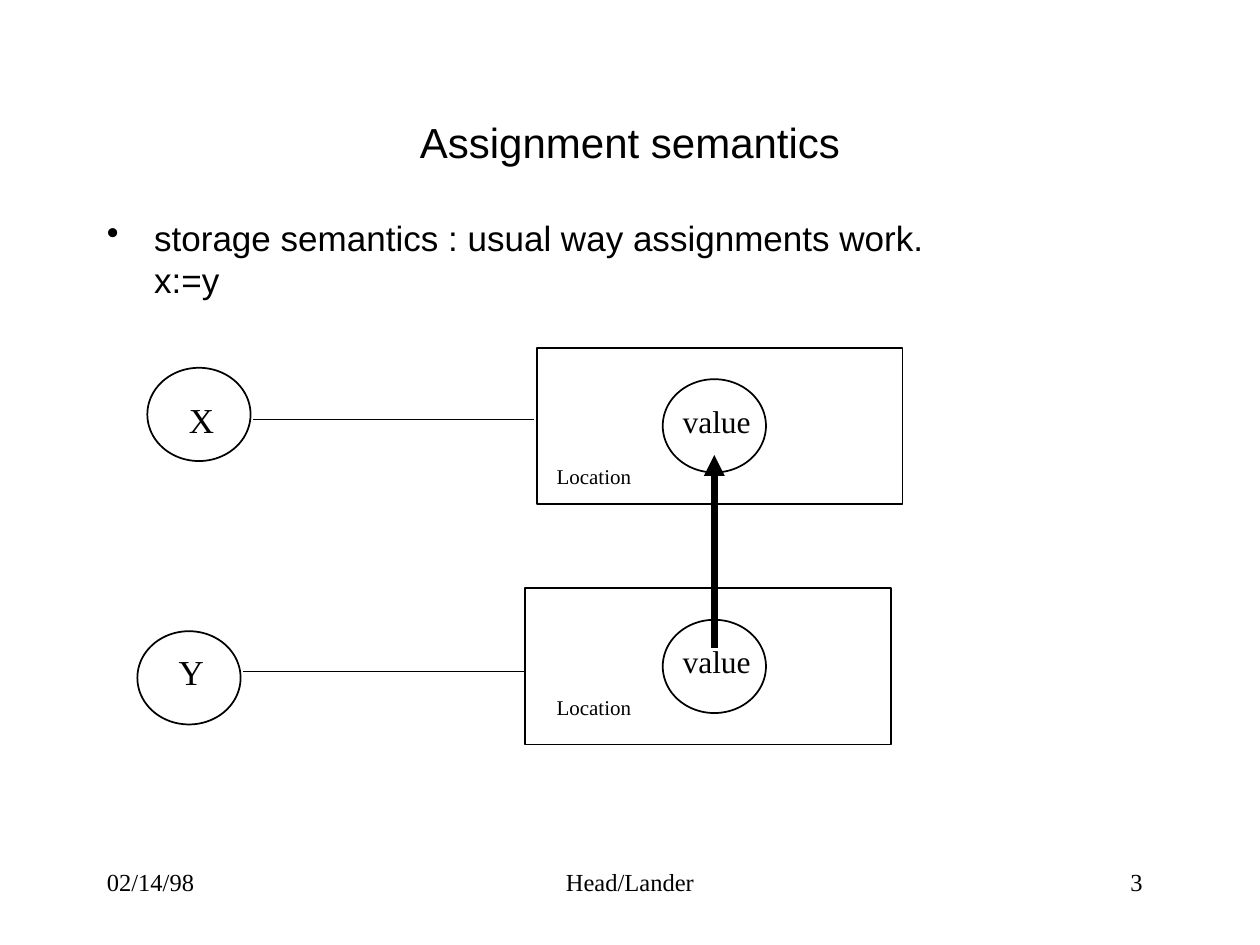
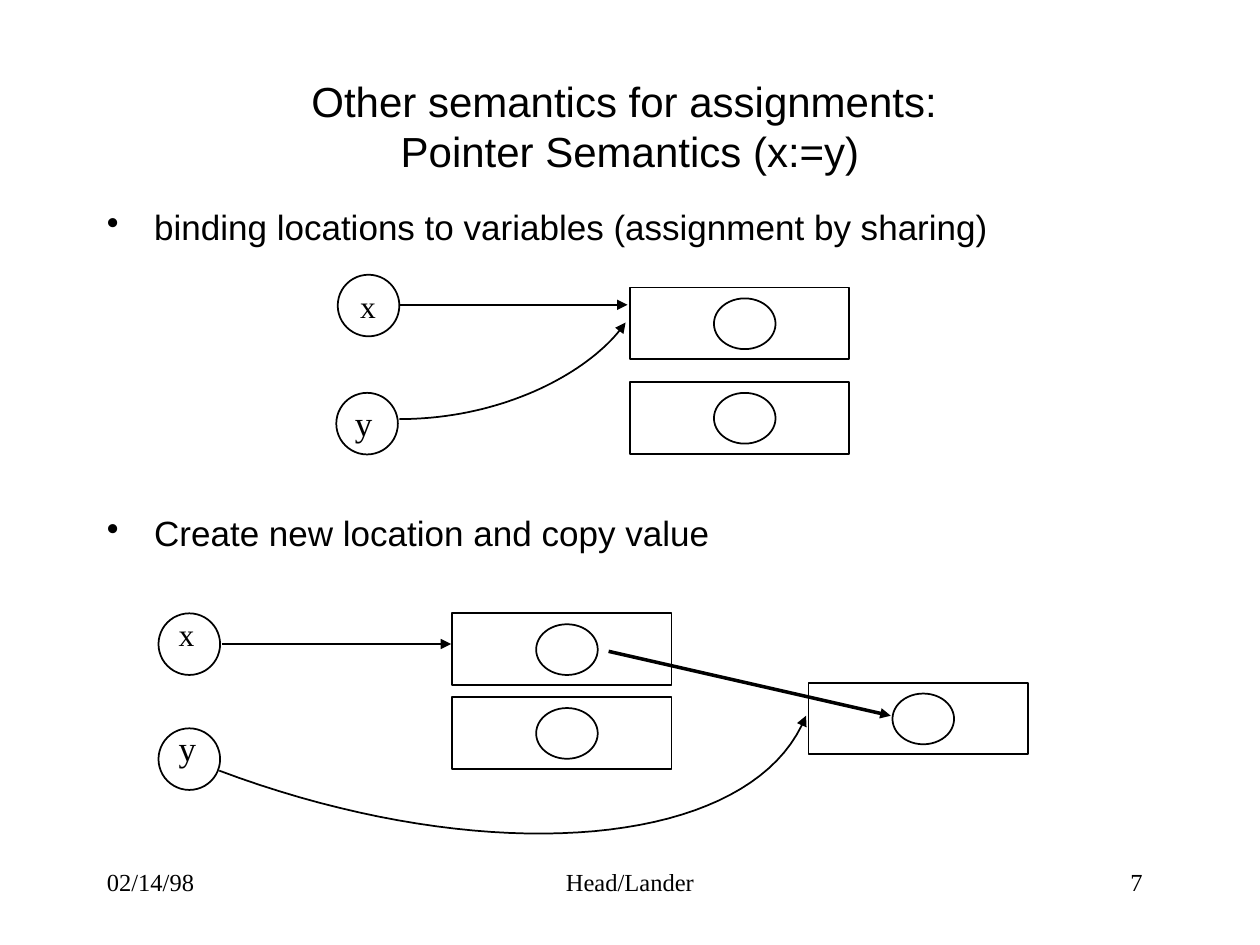
from copy import deepcopy

from pptx import Presentation
from pptx.dml.color import RGBColor
from pptx.enum.shapes import MSO_CONNECTOR, MSO_SHAPE
from pptx.enum.text import MSO_ANCHOR, MSO_AUTO_SIZE, PP_ALIGN
from pptx.oxml.ns import qn
from pptx.util import Pt

BLACK = RGBColor(0, 0, 0)
SANS, SERIF = "Arial", "Times New Roman"
CURVE_STEPS = 40


def add_text(shape, text, size=18, font=SERIF, align=PP_ALIGN.LEFT, anchor=MSO_ANCHOR.TOP,
             wrap=False, bullet=False, space_before=0, new_paragraph=False):
    frame = shape.text_frame
    frame.word_wrap = wrap
    frame.auto_size = MSO_AUTO_SIZE.NONE
    frame.vertical_anchor = anchor
    paragraph = frame.add_paragraph() if new_paragraph else frame.paragraphs[0]
    paragraph.text = text
    paragraph.alignment = align
    paragraph.space_before = Pt(space_before)
    for run in paragraph.runs:
        run.font.size = Pt(size)
        run.font.name = font
        run.font.color.rgb = BLACK
    for line_break in paragraph._p.findall(qn("a:br")):
        line_break.append(deepcopy(paragraph.runs[0]._r.rPr))
    if bullet:
        properties = paragraph._p.get_or_add_pPr()
        properties.set("marL", str(Pt(27)))
        properties.set("indent", str(-Pt(27)))
        character = properties.makeelement(qn("a:buChar"), {"char": "•"})
        properties.append(character)


def style_line(shape, width=1, arrow=False):
    shape.line.color.rgb = BLACK
    shape.line.width = Pt(width)
    properties = shape._element.spPr
    if arrow:
        outline = properties.find(qn("a:ln"))
        outline.append(outline.makeelement(qn("a:tailEnd"), {"type": "triangle"}))
    properties.append(properties.makeelement(qn("a:effectLst"), {}))


presentation = Presentation()
presentation.slide_width = Pt(720)
presentation.slide_height = Pt(540)

# Content: every length is in points
variable_width, variable_height = 59, 53.3
storage = {
    "title": "Assignment semantics", "title_height": 66, "number": "3",
    "body_top": 120,
    "bullets": [("storage semantics : usual way assignments work.\nx:=y", 5)],
    "variable_size": (variable_width, variable_height),
    "variables": [(84.2, 210.2), (78.5, 360.7)],
    "cell_size": (209, 89.3), "value_size": (variable_width, variable_height),
    # cell left, cell top, left of the value inside
    "cells": [(306.7, 198.7, 378.7), (300.2, 336.2, 378.7)], "value_inset": 18,
    "labels": [("X", 100.8, 223.9, 28.8, 31, 20), ("Y", 95, 367.9, 28.8, 31, 20),
               ("Location", 311, 261.4, 57, 21.6, 12),
               ("Location", 311, 393.1, 57, 21.6, 12),
               ("value", 383, 226.1, 53.3, 28.8, 18),
               ("value", 383, 363.6, 53.3, 28.8, 18)],
    # start, end, width, arrow
    "lines": [((144.7, 239.8), (305.3, 239.8), 1, False),
              ((139, 383.8), (299.5, 383.8), 1, False),
              ((408.2, 370.1), (408.2, 260), 4, True)],
    "curves": [],
}
pointer = {
    "title": "Other semantics for assignments: \nPointer Semantics (x:=y)",
    "title_height": 48, "number": "7", "body_top": 114,
    "bullets": [("binding locations to variables (assignment by sharing)", 5),
                ("Create new location and copy value", 151)],
    "variable_size": (35.2, 35.2),
    "variables": [(193, 157), (192.2, 224.5), (90.6, 350.5), (90.6, 416.2)],
    "cell_size": (125.3, 41), "value_size": (35.2, 29),
    "cells": [(left, top, left + 48) for left, top in
              [(360, 164.3), (360, 218.3), (258.4, 350.5), (258.4, 398.4), (462, 390.1)]],
    "value_inset": 6.2,
    "labels": [("x", 198.7, 160.5, 23, 28.8, 18), ("y", 195.8, 226.1, 24.5, 31, 20),
               ("x", 95, 347.8, 23, 28.8, 18), ("y", 95, 411.8, 24.5, 31, 20)],
    "lines": [((228.2, 174.2), (358.6, 174.2), 1, True),
              ((126.7, 368), (257.8, 368), 1, True),
              ((347.8, 372.2), (509, 409), 2, True)],
    # cubic curves: start, two control points, end
    "curves": [[(228.2, 239.5), (289, 239.5), (339, 211.5), (357.5, 184.3)],
               [(125.3, 440.4), (279.4, 498.2), (430.6, 485.3), (460.6, 409)]],
}
footers = [("02/14/98", 54, 150, PP_ALIGN.LEFT), ("Head/Lander", 246, 228, PP_ALIGN.CENTER),
           (None, 510, 150, PP_ALIGN.RIGHT)]

for content in (storage, pointer):
    slide = presentation.slides.add_slide(presentation.slide_layouts[5])
    shapes = slide.shapes

    # Title
    title = shapes.title
    title.left, title.top = Pt(54), Pt(48)
    title.width, title.height = Pt(612), Pt(content["title_height"])
    add_text(title, content["title"], size=24, font=SANS, align=PP_ALIGN.CENTER,
             anchor=MSO_ANCHOR.MIDDLE, wrap=True)

    # Footers
    for text, left, width, align in footers:
        footer = shapes.add_textbox(Pt(left), Pt(492), Pt(width), Pt(36))
        add_text(footer, text or content["number"], size=14, align=align, wrap=True)

    # Bullets
    body = shapes.add_textbox(Pt(54), Pt(content["body_top"]), Pt(612), Pt(360))
    for index, (text, space_before) in enumerate(content["bullets"]):
        add_text(body, text, size=20, font=SANS, wrap=True, bullet=True,
                 space_before=space_before, new_paragraph=index > 0)

    # Variables, and locations with their values
    outlines = [(MSO_SHAPE.OVAL, left, top, content["variable_size"])
                for left, top in content["variables"]]
    for left, top, value_left in content["cells"]:
        outlines.append((MSO_SHAPE.RECTANGLE, left, top, content["cell_size"]))
        outlines.append((MSO_SHAPE.OVAL, value_left, top + content["value_inset"],
                         content["value_size"]))
    for kind, left, top, (width, height) in outlines:
        shape = shapes.add_shape(kind, Pt(left), Pt(top), Pt(width), Pt(height))
        shape.fill.background()
        style_line(shape)

    # Labels
    for text, left, top, width, height, size in content["labels"]:
        label = shapes.add_textbox(Pt(left), Pt(top), Pt(width), Pt(height))
        add_text(label, text, size=size)

    # Straight lines and arrows
    for start, end, width, arrow in content["lines"]:
        connector = shapes.add_connector(MSO_CONNECTOR.STRAIGHT,
                                         *[Pt(value) for value in start + end])
        style_line(connector, width, arrow)

    # Curved arrows
    for controls in content["curves"]:
        points = []
        for step in range(CURVE_STEPS + 1):
            t = step / CURVE_STEPS
            weights = ((1 - t) ** 3, 3 * t * (1 - t) ** 2, 3 * t ** 2 * (1 - t), t ** 3)
            points.append(tuple(Pt(sum(weight * value for weight, value in zip(weights, axis)))
                                for axis in zip(*controls)))
        builder = shapes.build_freeform(*points[0])
        builder.add_line_segments(points[1:], close=False)
        curve = builder.convert_to_shape()
        curve.fill.background()
        style_line(curve, arrow=True)

presentation.save("out.pptx")
